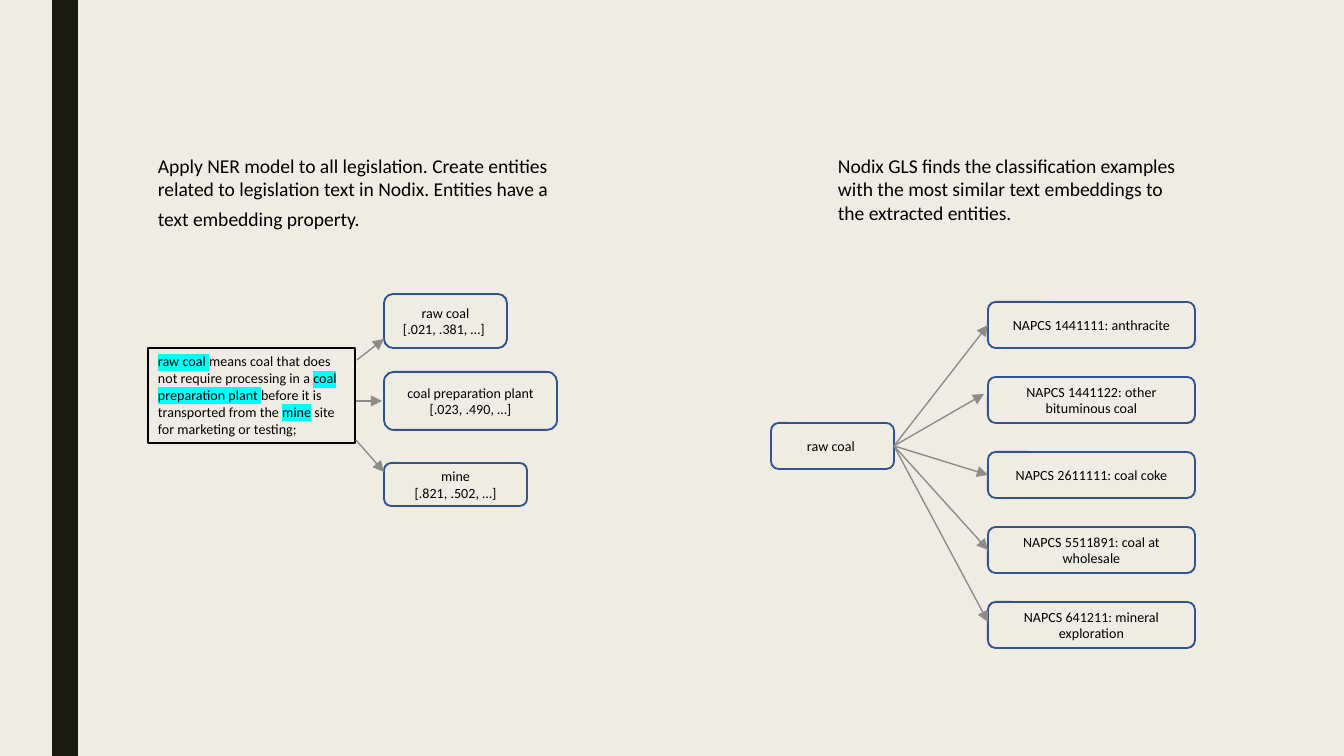
import lxml.etree
import pptx
import pptx.dml.color
import pptx.enum.shapes
import pptx.enum.text
import pptx.oxml.ns
import pptx.util

PX = 914400 / 134.4
COLORS = {
    "background": "EFEDE3",
    "bar": "191B0E",
    "text": "000000",
    "node": "31538F",
    "arrow": "8C8D86",
    "highlight": "00FFFF",
}
SHAPES = pptx.enum.shapes.MSO_SHAPE
ANCHOR = pptx.enum.text.MSO_ANCHOR
ALIGN = pptx.enum.text.PP_ALIGN


def px(length):
    return pptx.util.Emu(round(length * PX))


def rgb(name):
    return pptx.dml.color.RGBColor.from_string(COLORS[name])


def apply(target, values):
    for name, value in values.items():
        setattr(target, name, value)


FRAME_FORMAT = {
    "word_wrap": True,
    "margin_left": px(10),
    "margin_right": px(10),
    "margin_top": px(5),
    "margin_bottom": px(5),
}


def write(frame, paragraphs, align, anchor):
    apply(frame, FRAME_FORMAT | {"vertical_anchor": anchor})
    for index, runs in enumerate(paragraphs):
        paragraph = frame.add_paragraph() if index else frame.paragraphs[0]
        paragraph.alignment = align
        for words, size, marked in runs:
            run = paragraph.add_run()
            run.text = words
            apply(run.font, {"size": pptx.util.Pt(size), "name": "Calibri"})
            run.font.color.rgb = rgb("text")
            if marked:
                mark_run(run)


def mark_run(run):
    qn = pptx.oxml.ns.qn
    properties = run.font._element
    highlight = lxml.etree.Element(qn("a:highlight"))
    lxml.etree.SubElement(highlight, qn("a:srgbClr"), val=COLORS["highlight"])
    properties.find(qn("a:solidFill")).addnext(highlight)


def add_outline(slide, kind, box, color, width):
    outline = slide.shapes.add_shape(kind, *map(px, box))
    outline.shadow.inherit = False
    outline.fill.background()
    outline.line.color.rgb = rgb(color)
    outline.line.width = pptx.util.Pt(width)
    return outline


def add_node(slide, box, lines):
    node = add_outline(slide, SHAPES.ROUNDED_RECTANGLE, box, "node", 1)
    paragraphs = [[(line, 7.5, False)] for line in lines]
    write(node.text_frame, paragraphs, ALIGN.CENTER, ANCHOR.MIDDLE)
    return node


def add_arrow(slide, start, end):
    qn = pptx.oxml.ns.qn
    arrow = slide.shapes.add_connector(
        pptx.enum.shapes.MSO_CONNECTOR.STRAIGHT, *map(px, start + end))
    arrow.line.color.rgb = rgb("arrow")
    arrow.line.width = pptx.util.Pt(0.75)
    lxml.etree.SubElement(arrow.line._get_or_add_ln(), qn("a:tailEnd"), type="triangle")
    lxml.etree.SubElement(arrow._element.spPr, qn("a:effectLst"))
    return arrow


def add_caption(slide, box, runs):
    caption = slide.shapes.add_textbox(*map(px, box))
    write(caption.text_frame, [runs], ALIGN.LEFT, ANCHOR.TOP)


def add_side_bar(slide, left, top, width, height):
    bar = slide.shapes.add_shape(
        SHAPES.RECTANGLE, *map(px, (left, top, width, height)))
    bar.shadow.inherit = False
    bar.fill.solid()
    bar.fill.fore_color.rgb = rgb("bar")
    bar.line.fill.background()


def add_extraction(slide, left, top, width, height):
    add_caption(slide, (left, top, width, height), [
        ("Apply NER model to all legislation. Create entities related to "
         "legislation text in Nodix. Entities have a text embedding property.",
         10.5, False),
        (" ", 13.5, False),
    ])
    passage = add_outline(
        slide, SHAPES.RECTANGLE, (left, top + 199, 207, 95), "text", 0.75)
    write(passage.text_frame, [[
        ("raw coal ", 7.5, True),
        ("means coal that does not require processing in a ", 7.5, False),
        ("coal preparation plant ", 7.5, True),
        ("before it is transported from the ", 7.5, False),
        ("mine", 7.5, True),
        (" site for marketing or testing;", 7.5, False),
    ]], ALIGN.LEFT, ANCHOR.TOP)
    entities = [
        ("raw coal", "[.021, .381, …] ", (145, 123, 54), (209, 211), (236, 190)),
        ("coal preparation plant", "[.023, .490, …]", (223, 173, 58), (208, 252), (234, 252)),
        ("mine", "[.821, .502, …]", (314, 143, 43), (208, 291), (236, 323)),
    ]
    for entity, embedding, (y, w, h), start, end in entities:
        add_node(slide, (left + 236, top + y, w, h), [entity, embedding])
        add_arrow(slide, (left + start[0], top + start[1]),
                  (left + end[0], top + end[1]))


def add_matching(slide, left, top, width, height):
    add_caption(slide, (left + 57, top, width - 57, height), [
        ("Nodix GLS finds the classification examples with the most similar "
         "text embeddings to the extracted entities.", 10.5, False),
    ])
    entity = add_node(slide, (left, top + 274, 123, 46), ["raw coal "])
    examples = [
        ("NAPCS 1441111: anthracite", None),
        ("NAPCS 1441122: other bituminous coal", (213, 245)),
        ("NAPCS 2611111: coal coke", None),
        ("NAPCS 5511891: coal at wholesale", None),
        ("NAPCS 641211: mineral exploration", (217, 473)),
    ]
    for index, (label, free_end) in enumerate(examples):
        y = 153 + 75 * index
        example = add_node(slide, (left + 217, top + y, 207, 46), [label])
        x_end, y_end = free_end or (217, y + 23)
        arrow = add_arrow(slide, (left + 123, top + 297),
                          (left + x_end, top + y_end))
        arrow.begin_connect(entity, 3)
        if not free_end:
            arrow.end_connect(example, 1)


def main():
    deck = pptx.Presentation()
    apply(deck, {"slide_width": px(1344), "slide_height": px(756)})
    slide = deck.slides.add_slide(deck.slide_layouts[6])
    slide.background.fill.solid()
    slide.background.fill.fore_color.rgb = rgb("background")
    add_side_bar(slide, 52, 0, 26, 756)
    add_extraction(slide, 148, 149, 430, 89)
    add_matching(slide, 771, 149, 425, 82)
    deck.save("out.pptx")


if __name__ == "__main__":
    main()
